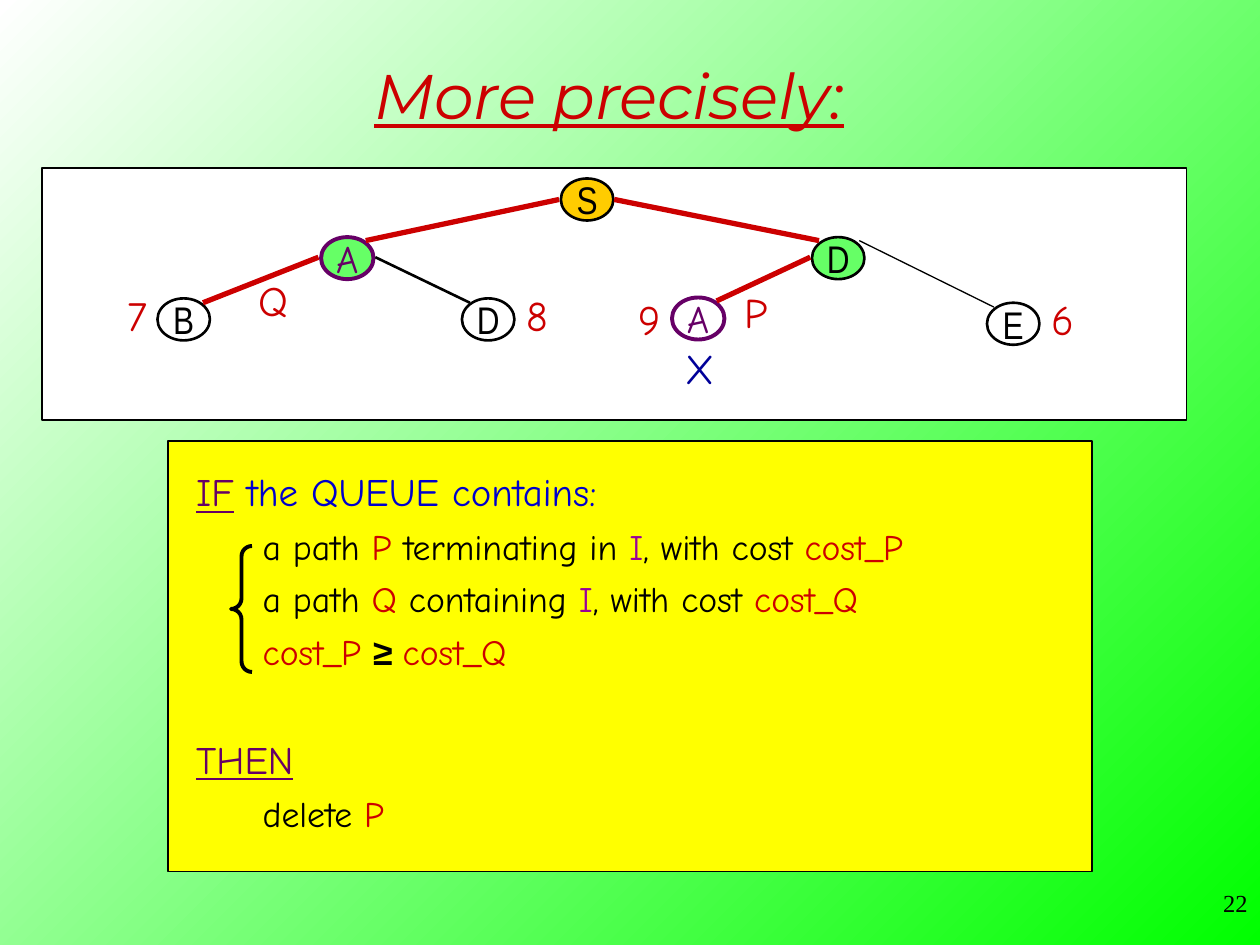
from pptx import Presentation
from pptx.dml.color import RGBColor
from pptx.enum.shapes import MSO_CONNECTOR, MSO_SHAPE
from pptx.enum.text import MSO_ANCHOR, MSO_AUTO_SIZE, PP_ALIGN
from pptx.oxml.xmlchemy import OxmlElement
from pptx.util import Pt

RECT, OVAL, BRACE = MSO_SHAPE.RECTANGLE, MSO_SHAPE.OVAL, MSO_SHAPE.LEFT_BRACE
STRAIGHT = MSO_CONNECTOR.STRAIGHT
MIDDLE, FIXED = MSO_ANCHOR.MIDDLE, MSO_AUTO_SIZE.NONE
LEFT, CENTER, RIGHT = PP_ALIGN.LEFT, PP_ALIGN.CENTER, PP_ALIGN.RIGHT

COMIC, NARROW = "Comic Neue", "Arial Narrow"
BLACK, WHITE, RED, BLUE = "000000", "FFFFFF", "CC0000", "0000CC"
PLUM, VIOLET, GREEN, GOLD = "660066", "990099", "66FF66", "FFCC00"

NODES = [
    ("S", 320.5, 102, GOLD, BLACK),
    ("A", 183.5, 135.5, GREEN, PLUM),
    ("D", 464, 135.5, GREEN, BLACK),
    ("B", 90, 170.5, WHITE, BLACK),
    ("D", 264, 170.5, WHITE, BLACK),
    ("A", 384, 170, WHITE, PLUM),
    ("E", 564, 173, WHITE, BLACK),
]
EDGES = [
    (319.5, 114, 209, 137.5, RED, 3),
    (351, 114, 468, 137.5, RED, 3),
    (182, 147, 116, 173, RED, 3),
    (463, 147, 409.5, 172, RED, 3),
    (214.5, 147, 268.5, 173, BLACK, 1.5),
    (491, 137.5, 568, 175.5, BLACK, 0.75),
]
LABELS = [
    ("7", 66, 162, RED),
    ("8", 294, 162, RED),
    ("9", 358, 164, RED),
    ("6", 594, 164, RED),
    ("Q", 140.5, 153.5, RED),
    ("P", 418.5, 160, RED),
    ("X", 384.5, 192, "000099"),
]
HEAD, ITEM = (22.2, 27), (20.4, 65)
RULES = [
    (HEAD, 0, [("IF", PLUM), (" the QUEUE contains:", BLUE)]),
    (ITEM, 5.5, [("a path ", BLACK), ("P", RED), (" terminating in ", BLACK),
                 ("I", VIOLET), (", with cost ", BLACK), ("cost_P", RED)]),
    (ITEM, 5.5, [("a path ", BLACK), ("Q", RED), (" containing ", BLACK),
                 ("I", VIOLET), (", with cost ", BLACK), ("cost_Q", RED)]),
    (ITEM, 5.5, [("cost_P ", RED), ("≥ ", BLACK), ("cost_Q", RED)]),
    (HEAD, 36, [("THEN", PLUM)]),
    (ITEM, 5.5, [("delete ", BLACK), ("P", RED)]),
]


def hue(code):
    return RGBColor.from_string(code)


def put(thing, values):
    for key, value in values.items():
        setattr(thing, key, value)


def write(para, text, size, face, code, **style):
    run = para.add_run()
    run.text = text
    put(run.font, {"size": Pt(size), "name": face, **style})
    run.font.color.rgb = hue(code)


def draw(slide, kind, box, fill, edge, width):
    shape = slide.shapes.add_shape(kind, *map(Pt, box))
    shape.shadow.inherit = False
    if fill:
        shape.fill.solid()
        shape.fill.fore_color.rgb = hue(fill)
    else:
        shape.fill.background()
    shape.line.color.rgb = hue(edge)
    shape.line.width = Pt(width)
    return shape


def add_node(slide, name, left, top, fill, edge):
    marked = edge == PLUM
    node = draw(slide, OVAL, (left, top, 30, 24), fill, edge, 2.25 if marked else 1.5)
    put(node.text_frame, {"word_wrap": False, "vertical_anchor": MIDDLE})
    para = node.text_frame.paragraphs[0]
    para.alignment = CENTER
    write(para, name, 22, COMIC if marked else NARROW, edge)


def add_edge(slide, x1, y1, x2, y2, code, width):
    edge = slide.shapes.add_connector(STRAIGHT, *map(Pt, (x1, y1, x2, y2)))
    edge.line.color.rgb = hue(code)
    edge.line.width = Pt(width)
    edge._element.spPr.append(OxmlElement("a:effectLst"))


def add_frame(slide, box):
    frame = slide.shapes.add_textbox(*map(Pt, box)).text_frame
    frame.word_wrap = True
    return frame


def add_label(slide, text, box, size, face, code, side=LEFT):
    para = add_frame(slide, box).paragraphs[0]
    para.alignment = side
    write(para, text, size, face, code)


def add_title(slide, text):
    title = slide.shapes.title
    put(title, {"left": Pt(42), "top": Pt(36), "width": Pt(612), "height": Pt(36)})
    frame = title.text_frame
    put(frame, {"auto_size": FIXED, "vertical_anchor": MIDDLE, "word_wrap": True})
    para = frame.paragraphs[0]
    para.alignment = CENTER
    write(para, text, 36, "Montserrat", RED, italic=True, underline=True)


def add_rules(slide):
    frame = add_frame(slide, (78, 264, 624, 222))
    for index, ((size, indent), space, parts) in enumerate(RULES):
        para = frame.add_paragraph() if index else frame.paragraphs[0]
        para.space_before = Pt(space)
        para._p.get_or_add_pPr().set("marL", str(Pt(indent)))
        for text, code in parts:
            sign = "≥" in text
            write(para, text, size, "Arial" if sign else COMIC, code,
                  bold=sign, underline=text in ("IF", "THEN"))


def paint(slide):
    fill = slide.background.fill
    fill.gradient()
    fill.gradient_angle = 135
    for stop, code in zip(fill.gradient_stops, ("00FF00", WHITE)):
        stop.color.rgb = hue(code)


def main():
    deck = Presentation()
    put(deck, {"slide_width": Pt(720), "slide_height": Pt(540)})
    slide = deck.slides.add_slide(deck.slide_layouts[5])
    paint(slide)
    add_title(slide, "More precisely:")
    draw(slide, RECT, (96, 252, 528, 246), "FFFF00", BLACK, 0.75)
    brace = draw(slide, BRACE, (132, 312, 12, 72), None, BLACK, 2.25)
    brace.adjustments[0] = 0.5
    add_rules(slide)
    draw(slide, RECT, (24, 96, 654, 144), WHITE, BLACK, 0.75)
    for node in NODES:
        add_node(slide, *node)
    for edge in EDGES:
        add_edge(slide, *edge)
    for text, left, top, code in LABELS:
        add_label(slide, text, (left, top, 36, 36), 24, COMIC, code)
    add_label(slide, "22", (570, 504, 150, 36), 14, "Times New Roman", BLACK, RIGHT)
    deck.save("out.pptx")


if __name__ == "__main__":
    main()
